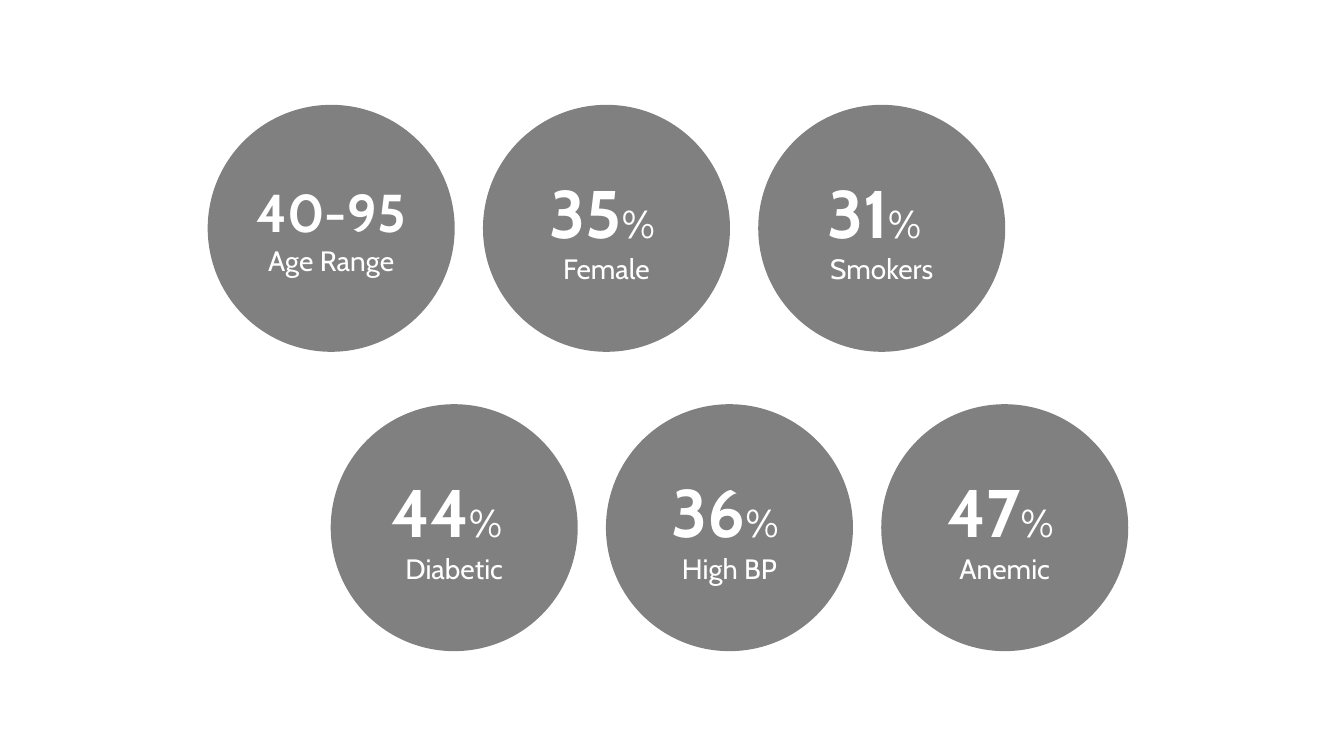
import dataclasses

import pptx
import pptx.dml.color
import pptx.enum.shapes
import pptx.enum.text
import pptx.util

Inches = pptx.util.Inches


@dataclasses.dataclass(frozen=True)
class Theme:
    font: str = "Cabin"
    circle: str = "808080"
    text: str = "FFFFFF"
    range_size: int = 38
    number_size: int = 48
    percent_size: int = 28
    label_size: int = 20


THEME = Theme()
DIAMETER = 2.45
PITCH = 2.73


def color(value):
    return pptx.dml.color.RGBColor.from_string(value)


def add_text(paragraph, text, *, size, bold=False):
    paragraph.alignment = pptx.enum.text.PP_ALIGN.CENTER
    run = paragraph.add_run()
    run.text = text
    run.font.name = THEME.font
    run.font.size = pptx.util.Pt(size)
    run.font.bold = bold
    run.font.color.rgb = color(THEME.text)


def percent(number, space_size=THEME.percent_size):
    """Return the headline runs; the closing space shifts the centred figure left."""
    return [
        (number, THEME.number_size, True),
        ("%", THEME.percent_size, False),
        (" ", space_size, False),
    ]


def add_stat_circle(slide, left, top, headline, label):
    shape = slide.shapes.add_shape(
        pptx.enum.shapes.MSO_SHAPE.OVAL,
        Inches(left), Inches(top), Inches(DIAMETER), Inches(DIAMETER),
    )
    shape.shadow.inherit = False
    shape.fill.solid()
    shape.fill.fore_color.rgb = color(THEME.circle)
    shape.line.fill.background()

    frame = shape.text_frame
    frame.word_wrap = True
    frame.vertical_anchor = pptx.enum.text.MSO_ANCHOR.MIDDLE
    for text, size, bold in headline:
        add_text(frame.paragraphs[0], text, size=size, bold=bold)
    add_text(frame.add_paragraph(), label, size=THEME.label_size)


def add_stat_row(slide, left, top, stats):
    for column, (headline, label) in enumerate(stats):
        add_stat_circle(slide, left + column * PITCH, top, headline, label)


def main():
    presentation = pptx.Presentation()
    presentation.slide_width = Inches(13.33)
    presentation.slide_height = Inches(7.5)
    slide = presentation.slides.add_slide(presentation.slide_layouts[6])

    add_stat_row(slide, 2.06, 1.04, [
        ([("40-95", THEME.range_size, True)], "Age Range"),
        (percent("35"), "Female"),
        (percent("31", THEME.number_size), "Smokers"),
    ])
    add_stat_row(slide, 3.28, 4.01, [
        (percent("44", THEME.number_size), "Diabetic"),
        (percent("36"), "High BP"),
        (percent("47"), "Anemic"),
    ])
    presentation.save("out.pptx")


if __name__ == "__main__":
    main()
